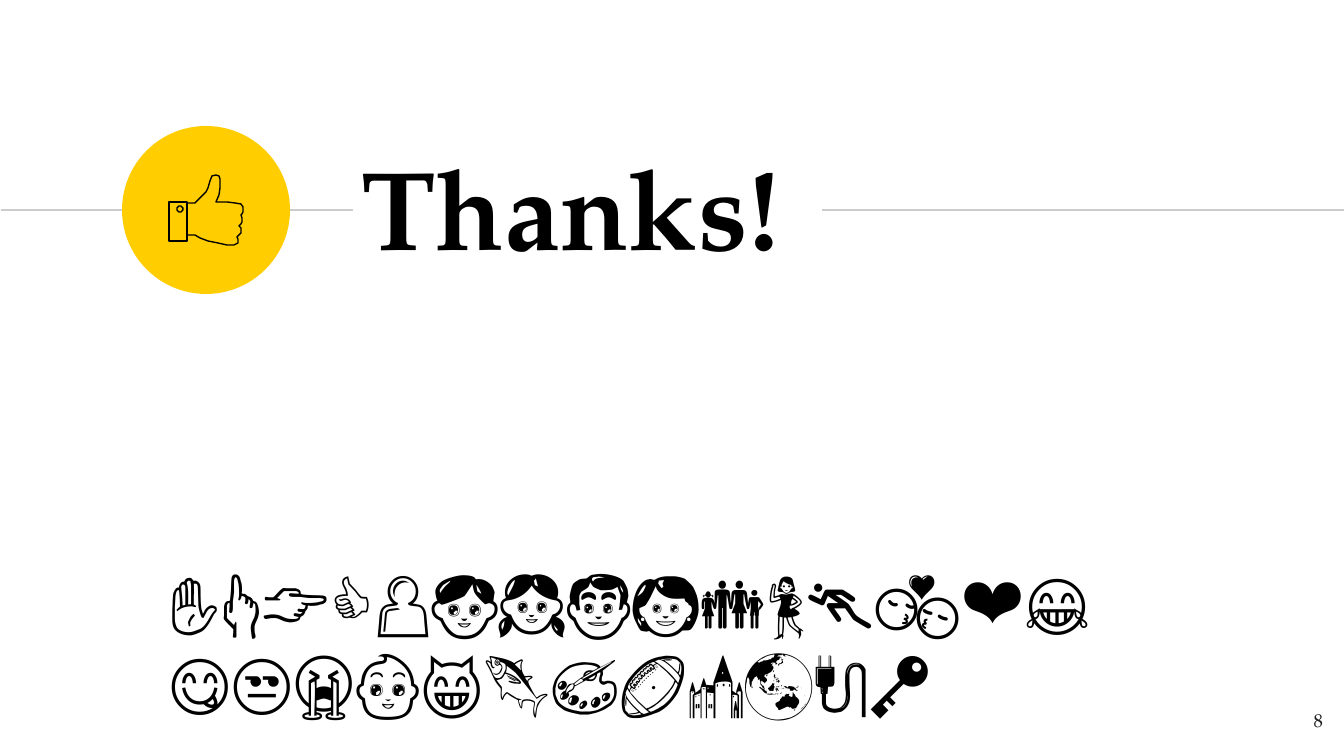
import math
from dataclasses import dataclass

import pptx
import pptx.dml.color
import pptx.enum.shapes
import pptx.enum.text
import pptx.oxml.ns
import pptx.util
from lxml import etree

SCALE = 914400 / 134.4  # EMU per px
WIDE, HIGH = 1344, 756
ALIGN = pptx.enum.text.PP_ALIGN
ANCHOR = pptx.enum.text.MSO_ANCHOR


def emu(px):
    return pptx.util.Emu(round(px * SCALE))


def color(code):
    return pptx.dml.color.RGBColor.from_string(code)


@dataclass(frozen=True)
class Theme:
    ink: str = "000000"
    dark: str = "1D1D1B"
    rule: str = "CCCCCC"
    gold: str = "FFCD00"
    serif: str = "TeX Gyre Pagella"
    sans: str = "Roboto"
    title: int = 60
    icons: int = 36
    number: int = 10
    stroke: float = 0.75


class Painter:
    def __init__(self, slide, theme):
        self.shapes = slide.shapes
        self.theme = theme

    def text(self, box, words, font, size, ink, bold=False,
             align=ALIGN.LEFT, anchor=ANCHOR.TOP, before=0):
        frame = self.shapes.add_textbox(*map(emu, box)).text_frame
        frame.word_wrap = True
        frame.vertical_anchor = anchor
        frame.margin_left = frame.margin_right = emu(13)
        frame.margin_top = frame.margin_bottom = emu(13)
        frame.text = words
        para = frame.paragraphs[0]
        para.alignment = align
        para.space_before = pptx.util.Pt(before)
        style = para.runs[0].font
        style.name, style.bold = font, bold
        style.size = pptx.util.Pt(size)
        style.color.rgb = color(ink)

    def stroke(self, line, ink):
        line.color.rgb = color(ink)
        line.width = pptx.util.Pt(self.theme.stroke)

    def rule(self, left, right, y):
        line = self.shapes.add_connector(
            pptx.enum.shapes.MSO_CONNECTOR.STRAIGHT,
            emu(left), emu(y), emu(right), emu(y))
        self.stroke(line.line, self.theme.rule)
        etree.SubElement(line._element.spPr, pptx.oxml.ns.qn("a:effectLst"))

    def disc(self, x, y, radius):
        """Draw a filled circle around x, y."""
        shape = self.shapes.add_shape(
            pptx.enum.shapes.MSO_SHAPE.OVAL, emu(x - radius), emu(y - radius),
            emu(2 * radius), emu(2 * radius))
        shape.shadow.inherit = False
        shape.fill.solid()
        shape.fill.fore_color.rgb = color(self.theme.gold)
        shape.line.fill.background()

    def outline(self, group, paths, close):
        """Draw one unfilled shape made of several paths."""
        first, *others = paths
        maker = group.shapes.build_freeform(*first[0], scale=SCALE)
        maker.add_line_segments(first[1:], close=close)
        for points in others:
            maker.move_to(*points[0])
            maker.add_line_segments(points[1:], close=close)
        shape = maker.convert_to_shape()
        shape.shadow.inherit = False
        shape.fill.background()
        self.stroke(shape.line, self.theme.ink)


def ring(x, y, radius, count=16):
    turns = [2 * math.pi * step / count for step in range(count)]
    return [(x + radius * math.cos(turn), y + radius * math.sin(turn))
            for turn in turns]


CUFF = [(169, 202), (169, 241), (187, 241), (187, 202)]
HAND = [
    (188, 235), (195, 235), (200, 238), (208, 241), (218, 243), (227, 245),
    (234, 245), (238, 243), (238, 239), (237, 237), (239, 235), (241, 233),
    (241, 228), (239, 226), (241, 224), (242, 222), (242, 218), (241, 215),
    (242, 214), (243, 212), (243, 207), (241, 204), (235, 203), (227, 202),
    (216, 202), (219, 195), (220, 188), (220, 179), (219, 176), (216, 175),
    (212, 176), (210, 181), (208, 188), (206, 192), (199, 199), (195, 203),
    (188, 203),
]
ICONS = "✋👆👉👍👤👦👧👨👩👪💃🏃💑❤😂😋😒😭👶😸🐟🎨🏈🏰🌏🔌🔑"


def main():
    deck = pptx.Presentation()
    deck.slide_width, deck.slide_height = emu(WIDE), emu(HIGH)
    theme = Theme()
    page = Painter(deck.slides.add_slide(deck.slide_layouts[6]), theme)
    middle = 210

    page.text((157, 546, 1064, 116), ICONS, theme.sans, theme.icons,
              theme.ink, before=6)
    page.rule(1, 353, middle)
    page.text((348, 120, 722, 171), "Thanks!", theme.serif, theme.title,
              theme.ink, bold=True, anchor=ANCHOR.MIDDLE)
    page.rule(822, WIDE, middle)

    page.disc(206, middle, 84)
    thumb = page.shapes.add_group_shape()
    page.outline(thumb, [CUFF, ring(180, 209, 3)], close=True)
    page.outline(thumb, [HAND], close=False)

    page.text((1255, 698, 81, 58), "8", theme.serif, theme.number,
              theme.dark, align=ALIGN.RIGHT)
    deck.save("out.pptx")


if __name__ == "__main__":
    main()
